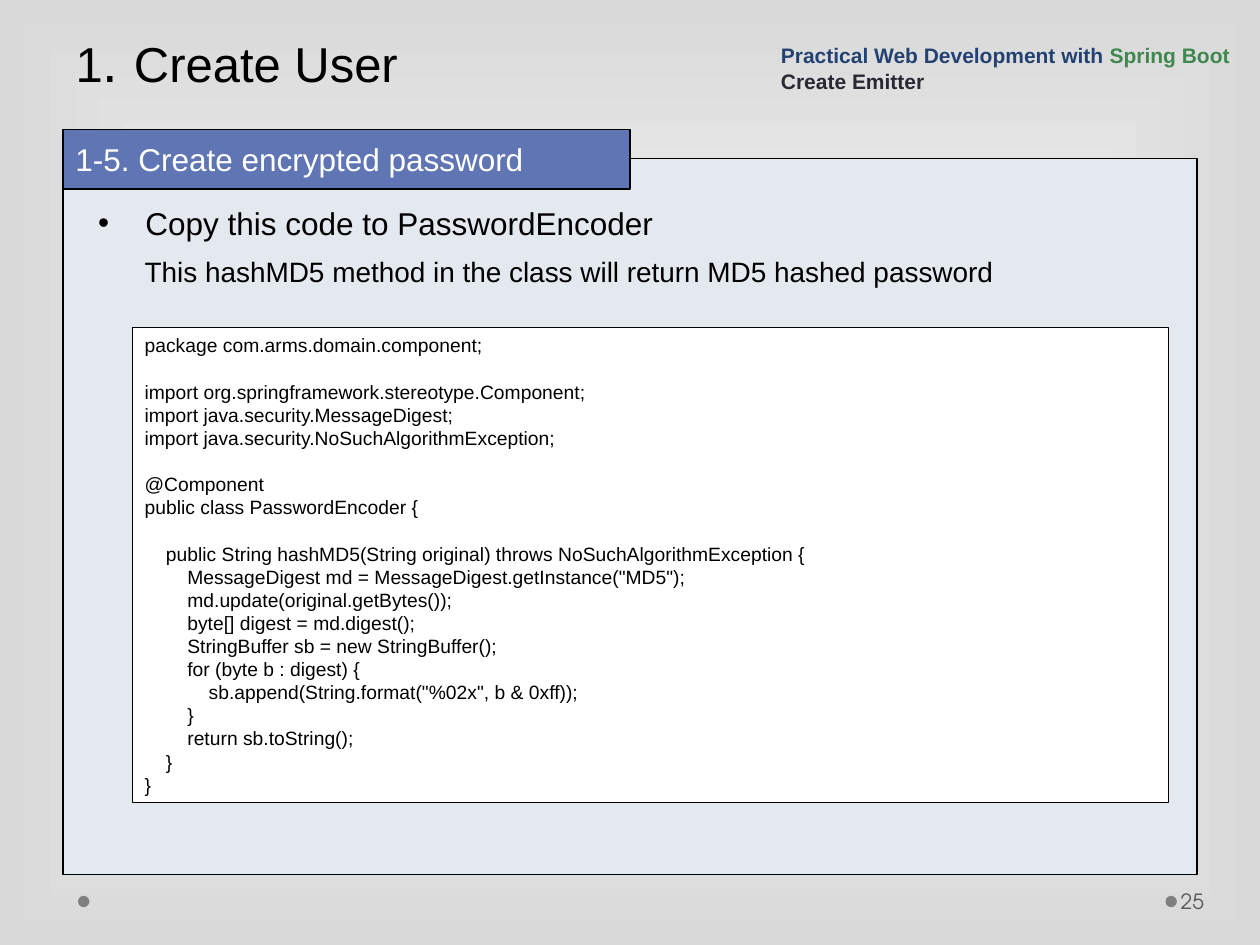
from lxml import etree
from pptx import Presentation
from pptx.dml.color import RGBColor
from pptx.enum import shapes, text
from pptx.oxml import ns
from pptx.util import Pt

BLACK = RGBColor(0x00, 0x00, 0x00)
WHITE = RGBColor(0xFF, 0xFF, 0xFF)
EDGE_GRAY = RGBColor(0xD9, 0xD9, 0xD9)
DOT_GRAY = RGBColor(0x7F, 0x7F, 0x7F)
NUMBER_GRAY = RGBColor(0x59, 0x59, 0x59)
PANEL = RGBColor(0xE4, 0xE9, 0xEF)
TAB_BLUE = RGBColor(0x60, 0x76, 0xB4)
NAVY = RGBColor(0x23, 0x42, 0x71)
GREEN = RGBColor(0x40, 0x88, 0x4F)
INK = RGBColor(0x29, 0x29, 0x34)

CODE = """package com.arms.domain.component;

import org.springframework.stereotype.Component;
import java.security.MessageDigest;
import java.security.NoSuchAlgorithmException;

@Component
public class PasswordEncoder {

    public String hashMD5(String original) throws NoSuchAlgorithmException {
        MessageDigest md = MessageDigest.getInstance("MD5");
        md.update(original.getBytes());
        byte[] digest = md.digest();
        StringBuffer sb = new StringBuffer();
        for (byte b : digest) {
            sb.append(String.format("%02x", b & 0xff));
        }
        return sb.toString();
    }
}"""


def add_shape(kind, box, fill, line=None):
    sp = s.shapes.add_shape(kind, *map(Pt, box))
    sp.shadow.inherit = False
    sp.fill.solid()
    sp.fill.fore_color.rgb = fill
    if line is None:
        sp.line.fill.background()
    else:
        sp.line.color.rgb = line
        sp.line.width = Pt(0.75)
    return sp


def write(sp, paragraphs, size, anchor=text.MSO_ANCHOR.TOP, leading=None, **font):
    """Each paragraph is a list of (text, font overrides)."""
    tf = sp.text_frame
    frame = {"word_wrap": True, "auto_size": text.MSO_AUTO_SIZE.NONE,
             "vertical_anchor": anchor}
    for name, value in frame.items():
        setattr(tf, name, value)
    for i, runs in enumerate(paragraphs):
        p = tf.add_paragraph() if i else tf.paragraphs[0]
        p.alignment = text.PP_ALIGN.LEFT
        p.line_spacing = Pt(leading or round(size * 1.2, 1))
        for words, changes in runs:
            r = p.add_run()
            r.text = words
            look = {"name": "Arial", "size": Pt(size), "color": BLACK} | font | changes
            r.font.color.rgb = look.pop("color")
            for name, value in look.items():
                setattr(r.font, name, value)
    return tf


prs = Presentation()
prs.slide_width, prs.slide_height = Pt(720), Pt(540)
s = prs.slides.add_slide(prs.slide_layouts[5])

# Background: light centre fading to gray edges
fill = s.background.fill
fill.gradient()
for stop, color, position in zip(fill.gradient_stops, (WHITE, EDGE_GRAY), (0, 1)):
    stop.color.rgb = color
    stop.position = position
grad = s.background._cSld.find(".//" + ns.qn("a:gradFill"))
grad.remove(grad.find(ns.qn("a:lin")))
shade = etree.SubElement(grad, ns.qn("a:path"), {"path": "rect"})
etree.SubElement(shade, ns.qn("a:fillToRect"), dict.fromkeys("ltrb", "50000"))

# Footer dots and page number
for x in (666, 44.6):
    add_shape(shapes.MSO_SHAPE.OVAL, (x, 511.9, 6.5, 6.5), DOT_GRAY)
number = s.shapes.add_textbox(Pt(672.5), Pt(500.4), Pt(44), Pt(28.8))
tf = write(number, [[("25", {})]], 12, text.MSO_ANCHOR.MIDDLE,
           name="TeX Gyre Adventor", color=NUMBER_GRAY)
tf.margin_left = Pt(2.2)

# Content panel
add_shape(shapes.MSO_SHAPE.RECTANGLE, (36, 90.7, 648, 409), PANEL, BLACK)

# Title
title = s.shapes.title
title.left, title.top, title.width, title.height = map(Pt, (36, 0, 648, 57))
write(title, [[("1", {}), (". ", {"size": Pt(32)}), ("Create User", {})]],
      28, text.MSO_ANCHOR.BOTTOM, leading=58)

# Section tab
tab = add_shape(shapes.MSO_SHAPE.RECTANGLE, (36, 74, 324, 34), TAB_BLUE, BLACK)
write(tab, [[("1-5. Create encrypted password", {})]], 18,
      text.MSO_ANCHOR.MIDDLE, color=WHITE)

# Bullet
bullet = s.shapes.add_textbox(Pt(49), Pt(113), Pt(557), Pt(29))
tf = write(bullet, [[("Copy this code to PasswordEncoder", {})]], 18)
pPr = tf.paragraphs[0]._p.get_or_add_pPr()
pPr.set("marL", str(Pt(27)))
pPr.set("indent", str(-Pt(27)))
etree.SubElement(pPr, ns.qn("a:buFont"), {"typeface": "Arial"})
etree.SubElement(pPr, ns.qn("a:buChar"), {"char": "•"})

# Course heading
heading = s.shapes.add_textbox(Pt(439.2), Pt(17.3), Pt(280.8), Pt(39.6))
write(heading, [[("Practical Web Development with ", {}), ("Spring Boot", {"color": GREEN})],
                [("Create Emitter", {"color": INK})]],
      12, text.MSO_ANCHOR.BOTTOM, color=NAVY, bold=True)

# Explanation
note = s.shapes.add_textbox(Pt(75.6), Pt(141.8), Pt(543), Pt(26.6))
write(note, [[("This hashMD5 method in the class will return MD5 hashed password", {})]], 16)

# Code listing: each block after the first starts one line lower
listing = add_shape(shapes.MSO_SHAPE.RECTANGLE, (75.6, 187.2, 592, 271.4), WHITE, BLACK)
blocks = [block.split("\n") for block in CODE.split("\n\n")]
tf = write(listing, [[(line, {})] for block in blocks for line in block], 11)
first = 0
for block in blocks[:-1]:
    first += len(block)
    tf.paragraphs[first].space_before = Pt(13.2)

prs.save("out.pptx")
